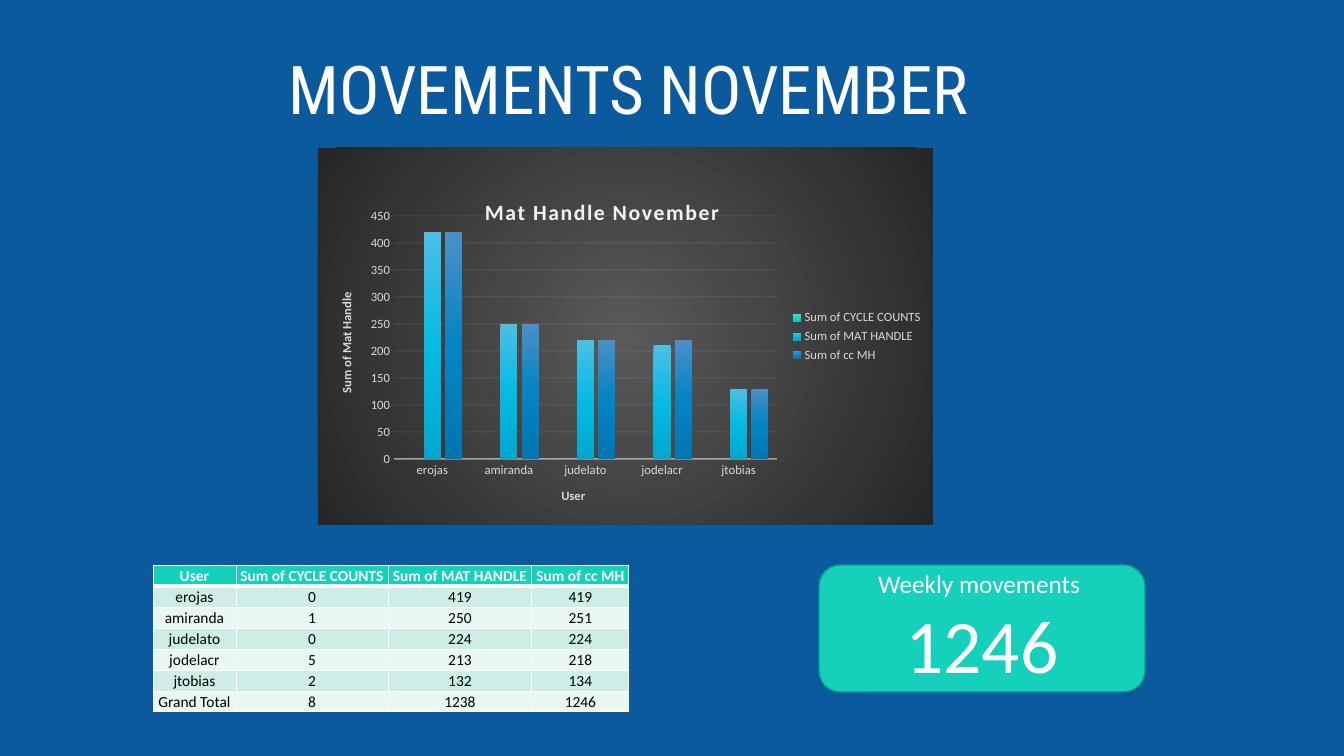
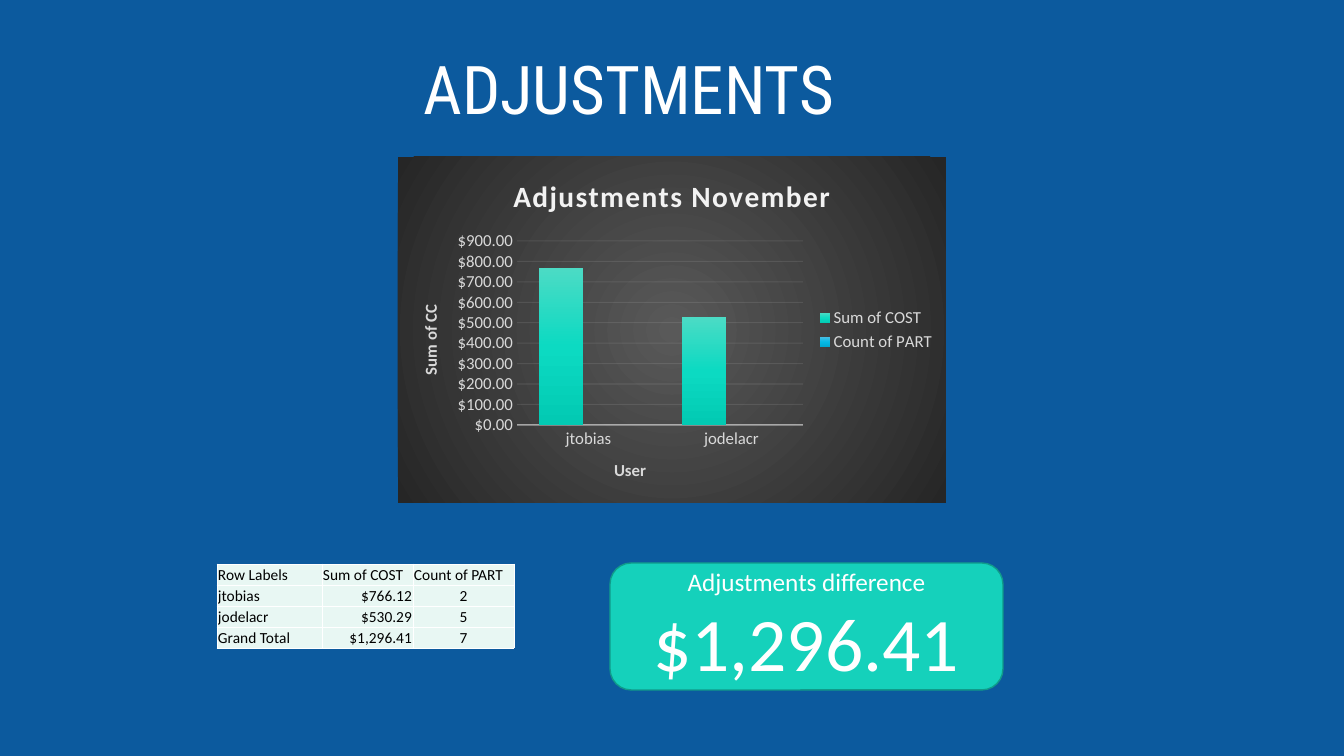
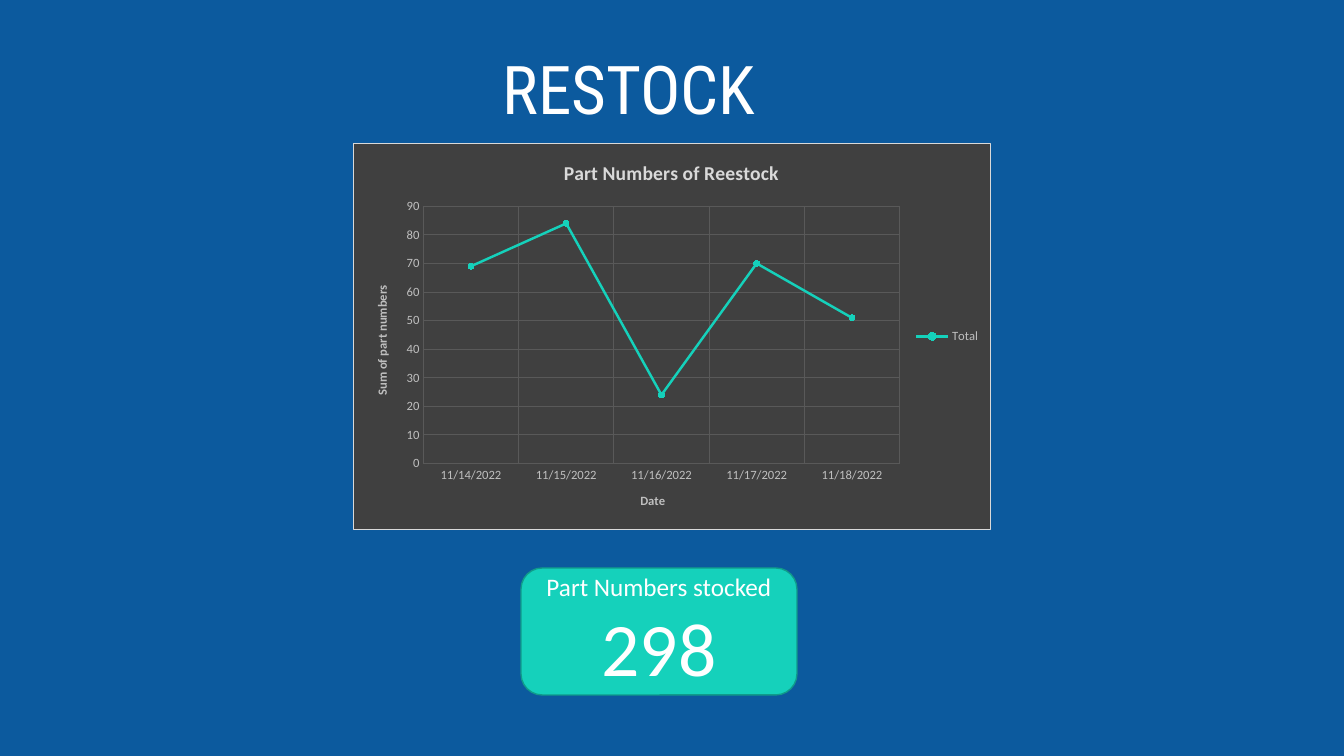
from lxml import etree
from pptx import Presentation
from pptx.chart.data import CategoryChartData
from pptx.dml.color import RGBColor
from pptx.enum.chart import XL_CHART_TYPE, XL_LEGEND_POSITION, XL_MARKER_STYLE, XL_TICK_MARK
from pptx.enum.shapes import MSO_SHAPE
from pptx.enum.text import MSO_ANCHOR, PP_ALIGN
from pptx.oxml import parse_xml
from pptx.oxml.ns import nsdecls, qn
from pptx.util import Pt

COLUMNS = XL_CHART_TYPE.COLUMN_CLUSTERED
LINE = XL_CHART_TYPE.LINE_MARKERS
LEGEND_RIGHT = XL_LEGEND_POSITION.RIGHT
CIRCLE = XL_MARKER_STYLE.CIRCLE
NO_TICK = XL_TICK_MARK.NONE
ROUNDED = MSO_SHAPE.ROUNDED_RECTANGLE
BOTTOM, MIDDLE = MSO_ANCHOR.BOTTOM, MSO_ANCHOR.MIDDLE
LEFT, CENTER, RIGHT = PP_ALIGN.LEFT, PP_ALIGN.CENTER, PP_ALIGN.RIGHT

EMU_PER_PX = 12192000 / 1344
TITLE_ONLY = 5
BODY_FONT, TITLE_FONT = "Calibri", "Roboto Condensed"
BLUE, TEAL, DARK_TEAL = "0C5A9E", "15D1BB", "109B8A"
WHITE, BLACK, CHARCOAL = "FFFFFF", "000000", "404040"
BAND, PALE_BAND = "CCEEE7", "E8F7F3"
SPOTLIGHT = ("595959", "262626")
COLUMN_GRADIENTS = (
    ("4CDBC5", "0CDAC2", "02CAB3"),
    ("4CBFE4", "05BAE5", "00A8D0"),
    ("4B90C6", "0484C4", "0076B2"),
)


def px(length):
    return round(length * EMU_PER_PX)


def box(*lengths):
    return [px(length) for length in lengths]


def rgb(value):
    return RGBColor.from_string(value)


def assign(target, values):
    for name, value in values.items():
        setattr(target, name, value)


def set_font(font, size, color, name=BODY_FONT, bold=False):
    assign(font, {"size": Pt(size), "name": name, "bold": bold})
    font.color.rgb = rgb(color)


def set_line(line, color, width, opacity=100):
    line.width = Pt(width)
    line.fill.solid()
    line.fill.fore_color.rgb = rgb(color)
    if opacity < 100:
        for shade in line._ln.iter(qn("a:srgbClr")):
            etree.SubElement(shade, qn("a:alpha"), val=str(opacity * 1000))


def gradient(colors, shading):
    step = 100000 // (len(colors) - 1)
    stops = "".join(
        f'<a:gs pos="{i * step}"><a:srgbClr val="{color}"/></a:gs>'
        for i, color in enumerate(colors)
    )
    return f'<a:gradFill {nsdecls("a")}><a:gsLst>{stops}</a:gsLst>{shading}</a:gradFill>'


def place(element, index, frame, at, inner=False):
    for old in element.findall(qn("c:layout")):
        element.remove(old)
    left, top, width, height = frame
    values = {"x": (at[0] - left) / width, "y": (at[1] - top) / height}
    if inner:
        values.update(w=at[2] / width, h=at[3] / height)
    target = '<c:layoutTarget val="inner"/>' if inner else ""
    modes = '<c:xMode val="edge"/><c:yMode val="edge"/>'
    sizes = "".join(f'<c:{key} val="{value:.4f}"/>' for key, value in values.items())
    element.insert(index, parse_xml(
        f'<c:layout {nsdecls("c")}><c:manualLayout>{target}{modes}{sizes}'
        "</c:manualLayout></c:layout>"))


class Deck:
    def __init__(self):
        self.prs = Presentation()
        assign(self.prs, {"slide_width": px(1344), "slide_height": px(756)})
        fill = self.prs.slide_master.background.fill
        fill.solid()
        fill.fore_color.rgb = rgb(BLUE)

    def new_slide(self, heading):
        self.slide = self.prs.slides.add_slide(self.prs.slide_layouts[TITLE_ONLY])
        title = self.slide.shapes.title
        assign(title, dict(zip(("left", "top", "width", "height"), box(234, 36, 790, 98))))
        frame = title.text_frame
        assign(frame, {"text": heading, "vertical_anchor": BOTTOM, "word_wrap": True,
                       "margin_left": 0, "margin_right": 0,
                       "margin_top": px(5), "margin_bottom": px(5)})
        paragraph = frame.paragraphs[0]
        assign(paragraph, {"alignment": CENTER, "line_spacing": 0.9})
        set_font(paragraph.runs[0].font, 48, WHITE, TITLE_FONT)

    def total_card(self, left, top, width, caption, total):
        card = self.slide.shapes.add_shape(ROUNDED, *box(left, top, width, 127))
        card.shadow.inherit = False
        card.fill.solid()
        card.fill.fore_color.rgb = rgb(TEAL)
        set_line(card.line, DARK_TEAL, 1)
        frame = card.text_frame
        assign(frame, {"text": f"{caption}\n{total}", "word_wrap": True,
                       "vertical_anchor": MIDDLE})
        for paragraph, size in zip(frame.paragraphs, (18, 54)):
            paragraph.alignment = CENTER
            set_font(paragraph.runs[0].font, size, WHITE)

    def table(self, left, top, widths, rows, alignments, styled_header):
        height = 21
        table = self.slide.shapes.add_table(
            len(rows), len(widths),
            *box(left, top, sum(widths), height * len(rows))).table
        assign(table, {"first_row": False, "horz_banding": False})
        for column, width in zip(table.columns, widths):
            column.width = px(width)
        for r, texts in enumerate(rows):
            table.rows[r].height = px(height)
            header = r == 0
            fill = PALE_BAND
            if styled_header:
                fill = TEAL if header else (BAND if r % 2 else PALE_BAND)
            for c, text in enumerate(texts):
                cell = table.cell(r, c)
                assign(cell, {"text": text, "vertical_anchor": BOTTOM,
                              "margin_left": px(1), "margin_right": px(1),
                              "margin_top": px(1), "margin_bottom": 0})
                bold = header and styled_header
                paragraph = cell.text_frame.paragraphs[0]
                paragraph.alignment = LEFT if header and not styled_header else alignments[c]
                set_font(paragraph.runs[0].font, 11, WHITE if bold else BLACK, bold=bold)
                self.cell_borders(cell, 3 if bold else 0.75)
                cell.fill.solid()
                cell.fill.fore_color.rgb = rgb(fill)

    def cell_borders(self, cell, bottom_width):
        properties = cell._tc.get_or_add_tcPr()
        for side, width in (("L", 0.75), ("R", 0.75), ("T", 0.75), ("B", bottom_width)):
            properties.append(parse_xml(
                f'<a:ln{side} {nsdecls("a")} w="{Pt(width)}"><a:solidFill>'
                f'<a:srgbClr val="{WHITE}"/></a:solidFill></a:ln{side}>'))

    def chart(self, kind, frame, plot, categories, series, size, color, top_value, unit):
        data = CategoryChartData()
        data.categories = categories
        for name, values in series:
            data.add_series(name, values)
        chart = self.slide.shapes.add_chart(kind, *box(*frame), data).chart
        set_font(chart.font, size, color)
        assign(chart, {"has_legend": True, "has_title": True})
        assign(chart.legend, {"position": LEGEND_RIGHT, "include_in_layout": False})
        set_font(chart.legend.font, size, color)
        for axis in (chart.category_axis, chart.value_axis):
            assign(axis, {"major_tick_mark": NO_TICK, "minor_tick_mark": NO_TICK})
            set_font(axis.tick_labels.font, size, color)
        assign(chart.value_axis, {"minimum_scale": 0, "maximum_scale": top_value,
                                  "major_unit": unit, "has_major_gridlines": True})
        chart.value_axis.format.line.fill.background()
        place(chart._chartSpace.chart.plotArea, 0, frame, plot, inner=True)
        return chart

    def chart_title(self, title, frame, text, at, size, color, spacing=0, upright=False):
        text_frame = title.text_frame
        text_frame.text = text
        font = text_frame.paragraphs[0].runs[0].font
        set_font(font, size, color, bold=True)
        if spacing:
            font._rPr.set("spc", str(spacing))
        if upright:
            body = text_frame._txBody.bodyPr
            body.set("rot", "-5400000")
            body.set("vert", "horz")
        place(title._element, 1, frame, at)

    def chart_titles(self, chart, frame, heading, category, value, size, color):
        self.chart_title(chart.chart_title, frame, **heading)
        for axis, (text, at), upright in ((chart.category_axis, category, False),
                                          (chart.value_axis, value, True)):
            self.chart_title(axis.axis_title, frame, text, at, size, color, upright=upright)

    def chart_area(self, chart, fill, line="<a:ln><a:noFill/></a:ln>"):
        chart._chartSpace.find(qn("c:txPr")).addprevious(parse_xml(
            f'<c:spPr {nsdecls("c", "a")}>{fill}{line}</c:spPr>'))

    def column_chart(self, frame, plot, rows, size, top_value, unit, heading, category, value):
        users = rows[1:-1]
        series = [(name, [round(user[i], -1) for user in users])
                  for i, name in enumerate(rows[0]) if i]
        color = "D9D9D9"
        chart = self.chart(COLUMNS, frame, plot, [user[0] for user in users],
                           series, size, color, top_value, unit)
        assign(chart.plots[0], {"gap_width": 100, "overlap": -24, "vary_by_categories": False})
        for bars, colors in zip(chart.plots[0].series, COLUMN_GRADIENTS):
            bars._element.get_or_add_spPr().append(
                parse_xml(gradient(colors, '<a:lin ang="5400000" scaled="0"/>')))
        set_line(chart.category_axis.format.line, "F2F2F2", 1, 54)
        set_line(chart.value_axis.major_gridlines.format.line, "F2F2F2", 0.75, 10)
        self.chart_titles(chart, frame, {**heading, "color": "F2F2F2", "spacing": 100},
                          category, value, size, color)
        self.chart_area(chart, gradient(
            SPOTLIGHT, '<a:path path="circle"><a:fillToRect l="50000" t="50000" '
                       'r="50000" b="50000"/></a:path>'))
        return chart

    def line_chart(self, frame, plot, dates, name, counts, heading, category, value):
        size, color = 9, "BFBFBF"
        chart = self.chart(LINE, frame, plot, dates, [(name, counts)], size, color, 90, 10)
        chart.plots[0].vary_by_categories = False
        total = chart.plots[0].series[0]
        total.smooth = False
        set_line(total.format.line, TEAL, 1.75)
        assign(total.marker, {"style": CIRCLE, "size": 4})
        total.marker.format.fill.solid()
        total.marker.format.fill.fore_color.rgb = rgb(TEAL)
        set_line(total.marker.format.line, TEAL, 0.75)
        chart.category_axis.has_major_gridlines = True
        chart.category_axis.format.line.fill.background()
        for axis in (chart.category_axis, chart.value_axis):
            set_line(axis.major_gridlines.format.line, "595959", 0.75)
        self.chart_titles(chart, frame, {**heading, "color": "D9D9D9"},
                          category, value, size, color)
        solid = '<a:solidFill><a:srgbClr val="{}"/></a:solidFill>'
        self.chart_area(chart, solid.format(CHARCOAL),
                        f'<a:ln w="{Pt(0.75)}">{solid.format("D9D9D9")}</a:ln>')


def with_total(header, users):
    totals = [sum(column) for column in list(zip(*users))[1:]]
    return [header, *users, ("Grand Total", *totals)]


def movements(deck):
    rows = with_total(
        ("User", "Sum of CYCLE COUNTS", "Sum of MAT HANDLE", "Sum of cc MH"),
        [("erojas", 0, 419, 419), ("amiranda", 1, 250, 251), ("judelato", 0, 224, 224),
         ("jodelacr", 5, 213, 218), ("jtobias", 2, 132, 134)])
    deck.new_slide("MOVEMENTS NOVEMBER")
    deck.total_card(819, 565, 326, "Weekly movements ", rows[-1][-1])
    deck.column_chart(
        (318, 148, 615, 377), (394, 216, 383, 243), rows, 9, 450, 50,
        {"text": "Mat Handle November", "at": (481, 193), "size": 15.5},
        ("User", (559, 485)), ("Sum of Mat Handle", (336, 290)))
    deck.table(153, 565, (83, 152, 144, 97), [[str(v) for v in row] for row in rows],
               [CENTER] * 4, True)


def adjustments(deck):
    rows = with_total(("Row Labels", "Sum of COST", "Count of PART"),
                      [("jtobias", 766.12, 2), ("jodelacr", 530.29, 5)])
    texts = [rows[0]] + [(user, f"${cost:,.2f}", str(parts)) for user, cost, parts in rows[1:]]
    deck.new_slide("ADJUSTMENTS")
    deck.total_card(610, 563, 393, "Adjustments difference", texts[-1][1])
    deck.table(217, 564, (105, 91, 101), texts, (LEFT, RIGHT, CENTER), False)
    chart = deck.column_chart(
        (398, 157, 548, 346), (517, 241, 286, 184), rows, 12, 900, 100,
        {"text": "Adjustments November", "at": (508, 170), "size": 21},
        ("User", (611, 456)), ("Sum of CC", (416, 302)))
    assign(chart.value_axis.tick_labels,
           {"number_format": '"$"#,##0.00', "number_format_is_linked": False})


def restock(deck):
    dates = [f"11/{day}/2022" for day in range(14, 19)]
    counts = (69, 84, 24, 70, 51)
    deck.new_slide("RESTOCK")
    deck.total_card(521, 568, 276, "Part Numbers stocked", sum(counts))
    deck.line_chart(
        (353, 143, 638, 387), (423, 206, 477, 258), dates, "Total", counts,
        {"text": "Part Numbers of Reestock", "at": (560, 155), "size": 14},
        ("Date", (638, 491)), ("Sum of part numbers", (371, 283)))


def main():
    deck = Deck()
    for build in (movements, adjustments, restock):
        build(deck)
    deck.prs.save("out.pptx")


if __name__ == "__main__":
    main()
